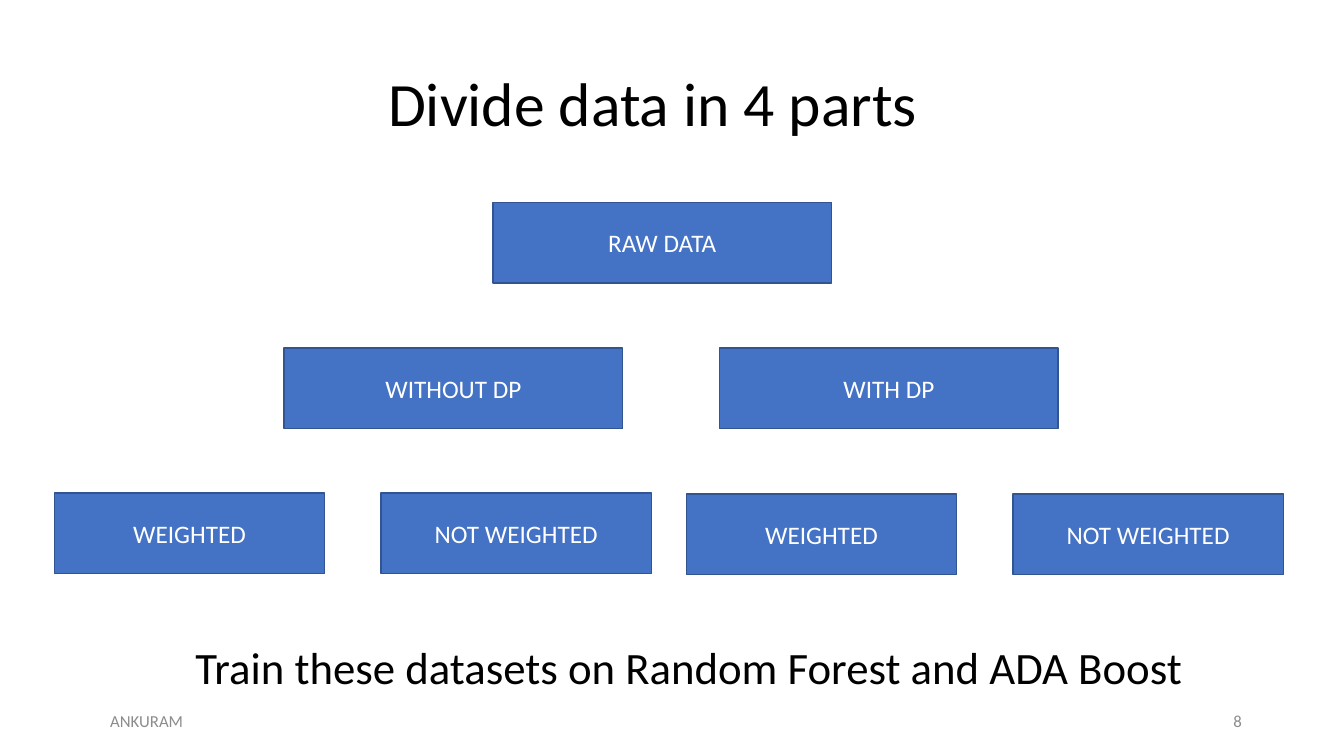
"""Build a slide showing how raw data is divided into four training sets."""
from pptx import Presentation
from pptx.dml.color import RGBColor
from pptx.enum.shapes import MSO_SHAPE
from pptx.enum.text import MSO_ANCHOR, PP_ALIGN
from pptx.util import Pt

RECTANGLE = MSO_SHAPE.RECTANGLE
MIDDLE = MSO_ANCHOR.MIDDLE
LEFT, CENTER, RIGHT = PP_ALIGN.LEFT, PP_ALIGN.CENTER, PP_ALIGN.RIGHT

BLACK = RGBColor(0x00, 0x00, 0x00)
WHITE = RGBColor(0xFF, 0xFF, 0xFF)
GRAY = RGBColor(0x8C, 0x8C, 0x8C)
BLUE = RGBColor(0x44, 0x72, 0xC4)
DARK_BLUE = RGBColor(0x32, 0x54, 0x91)

HEADING = "Divide data in 4 parts"
HEADING_BOX = (270, 23.8, 457.2, 105.1)

SPLIT_LEVELS = [
    {"labels": ["RAW DATA"], "left": 352.1, "top": 144.7, "width": 241.9, "step": 0},
    {"labels": ["WITHOUT DP", "WITH DP"],
     "left": 203, "top": 248.7, "width": 241.9, "step": 311},
    {"labels": ["WEIGHTED", "NOT WEIGHTED"],
     "left": 38.9, "top": 352.1, "width": 193, "step": 233.3},
    {"labels": ["WEIGHTED", "NOT WEIGHTED"],
     "left": 490.3, "top": 352.8, "width": 193, "step": 233.3},
]
PART_HEIGHT = 57.6

CAPTIONS = [
    ("Train these datasets on Random Forest and ADA Boost",
     (132.5, 426.2, 731.5, 105.1), {"size": 32, "spacing": 0.9}),
    ("8", (678.2, 500.4, 216, 28.8), {"size": 12, "color": GRAY, "align": RIGHT}),
    ("ANKURAM", (60.5, 500.4, 88.6, 28.8),
     {"size": 12, "color": GRAY, "align": CENTER}),
]


def write(shape, text, size=18, color=BLACK, align=LEFT, spacing=1.0):
    """Put one formatted paragraph into a shape."""
    frame = shape.text_frame
    frame.word_wrap = True
    frame.vertical_anchor = MIDDLE
    paragraph = frame.paragraphs[0]
    paragraph.alignment = align
    paragraph.line_spacing = spacing
    run = paragraph.add_run()
    run.text = text
    run.font.name = "Calibri"
    run.font.size = Pt(size)
    run.font.color.rgb = color


def add_part(slide, label, left, top, width):
    """Draw one labelled data part."""
    part = slide.shapes.add_shape(
        RECTANGLE, Pt(left), Pt(top), Pt(width), Pt(PART_HEIGHT))
    part.shadow.inherit = False
    part.fill.solid()
    part.fill.fore_color.rgb = BLUE
    part.line.color.rgb = DARK_BLUE
    part.line.width = Pt(1)
    write(part, label, color=WHITE, align=CENTER)


def main():
    """Lay out the slide and save it."""
    deck = Presentation()
    deck.slide_width, deck.slide_height = Pt(960), Pt(540)
    slide = deck.slides.add_slide(deck.slide_layouts[5])

    heading = slide.shapes.title
    heading.left, heading.top, heading.width, heading.height = map(Pt, HEADING_BOX)
    write(heading, HEADING, size=44, spacing=0.9)

    for level in SPLIT_LEVELS:
        for column, label in enumerate(level["labels"]):
            left = level["left"] + column * level["step"]
            add_part(slide, label, left, level["top"], level["width"])

    for text, box, style in CAPTIONS:
        write(slide.shapes.add_textbox(*map(Pt, box)), text, **style)

    deck.save("out.pptx")


if __name__ == "__main__":
    main()
